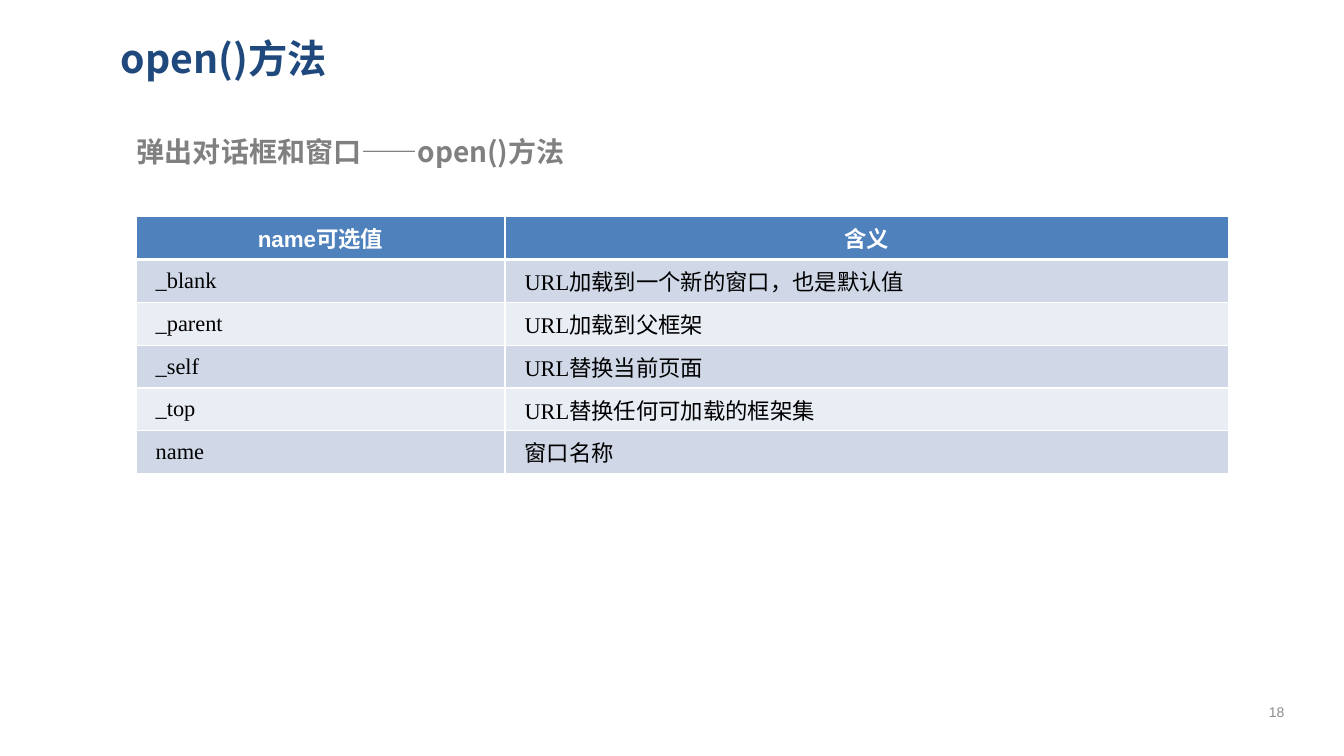
"""Build the slide on the optional name values of the open() method."""
from dataclasses import dataclass

from lxml import etree
from pptx import Presentation, util as u
from pptx.dml.color import RGBColor
from pptx.enum import text
from pptx.oxml.ns import qn

CJK = "Noto Sans CJK SC"
ROW_HEIGHT = 30.6
COLUMN_WIDTHS = (263.5, 517)
HEADER_FILL = "4F81BD"
BAND_FILLS = ("D0D8E8", "E9EDF4")


@dataclass
class NameValue:
    value: str
    meaning: str


HEADINGS = NameValue("name可选值", "含义")
NAME_VALUES = (
    NameValue("_blank", "URL加载到一个新的窗口，也是默认值"),
    NameValue("_parent", "URL加载到父框架"),
    NameValue("_self", "URL替换当前页面"),
    NameValue("_top", "URL替换任何可加载的框架集"),
    NameValue("name", "窗口名称"),
)


def color(hex_code: str) -> RGBColor:
    return RGBColor.from_string(hex_code)


def write(frame, wording: str, *, size: float, fill: str, font: str = CJK,
          bold: bool = False, align=text.PP_ALIGN.LEFT,
          anchor=text.MSO_ANCHOR.TOP, margin: float = 0, indent: float = 0) -> None:
    frame.word_wrap = True
    frame.vertical_anchor = anchor
    paragraph = frame.paragraphs[0]
    paragraph.alignment = align
    properties = paragraph._p.get_or_add_pPr()
    properties.set("marL", str(u.Pt(margin)))
    properties.set("indent", str(u.Pt(indent)))
    run = paragraph.add_run()
    run.text = wording
    run.font.size = u.Pt(size)
    run.font.bold = bold
    run.font.color.rgb = color(fill)
    run.font.name = font
    etree.SubElement(run._r.get_or_add_rPr(), qn("a:ea"), typeface=CJK)


def add_label(slide, left: float, top: float, width: float, height: float,
              wording: str, **style) -> None:
    box = slide.shapes.add_textbox(u.Pt(left), u.Pt(top), u.Pt(width), u.Pt(height))
    write(box.text_frame, wording, **style)


def add_borders(cell, widths: dict[str, float]) -> None:
    properties = cell._tc.get_or_add_tcPr()
    for position, (side, width) in enumerate(widths.items()):
        line = etree.Element(qn(f"a:ln{side}"), w=str(u.Pt(width)))
        solid = etree.SubElement(line, qn("a:solidFill"))
        etree.SubElement(solid, qn("a:srgbClr"), val="FFFFFF")
        properties.insert(position, line)


def fill_cell(cell, wording: str, row: int, column: int) -> None:
    cell.margin_left = cell.margin_right = u.Pt(5.4)
    cell.margin_top = cell.margin_bottom = 0
    cell.vertical_anchor = text.MSO_ANCHOR.MIDDLE
    cell.fill.solid()
    cell.fill.fore_color.rgb = color(BAND_FILLS[(row - 1) % 2] if row else HEADER_FILL)
    if row:
        style = dict(fill="000000", font="Times New Roman", margin=8.64,
                     align=text.PP_ALIGN.JUSTIFY)
    else:
        style = dict(fill="FFFFFF", font="Arial", bold=True,
                     align=text.PP_ALIGN.CENTER, indent=0 if column else -5)
    write(cell.text_frame, wording, size=16, anchor=text.MSO_ANCHOR.MIDDLE, **style)
    add_borders(cell, {"L": 1, "R": 1, "T": 3 if row == 1 else 1,
                       "B": 1 if row else 3})


def add_value_table(slide) -> None:
    rows = (HEADINGS, *NAME_VALUES)
    table = slide.shapes.add_table(
        len(rows), len(COLUMN_WIDTHS), u.Pt(97.2), u.Pt(154.8),
        u.Pt(sum(COLUMN_WIDTHS)), u.Pt(ROW_HEIGHT * len(rows))).table
    for column, width in zip(table.columns, COLUMN_WIDTHS):
        column.width = u.Pt(width)
    for row, entry in enumerate(rows):
        table.rows[row].height = u.Pt(ROW_HEIGHT)
        for column, wording in enumerate((entry.value, entry.meaning)):
            fill_cell(table.cell(row, column), wording, row, column)


def main() -> None:
    deck = Presentation()
    deck.slide_width, deck.slide_height = u.Pt(960), u.Pt(540)
    slide = deck.slides.add_slide(deck.slide_layouts[5])
    title = slide.shapes.title
    title.left, title.top = u.Pt(79.2), u.Pt(17.3)
    title.width, title.height = u.Pt(838.8), u.Pt(48.2)
    title.text_frame.auto_size = text.MSO_AUTO_SIZE.NONE
    write(title.text_frame, "open()方法", size=28, fill="1F497D", bold=True,
          anchor=text.MSO_ANCHOR.MIDDLE)
    add_label(slide, 90.7, 92.9, 663.8, 31.7, "弹出对话框和窗口——open()方法",
              size=20, fill="808080", bold=True)
    add_value_table(slide)
    add_label(slide, 888.5, 493.9, 46.8, 28.8, "18", size=10, fill="8C8C8C",
              font="Arial", align=text.PP_ALIGN.CENTER,
              anchor=text.MSO_ANCHOR.MIDDLE)
    deck.save("out.pptx")


if __name__ == "__main__":
    main()
